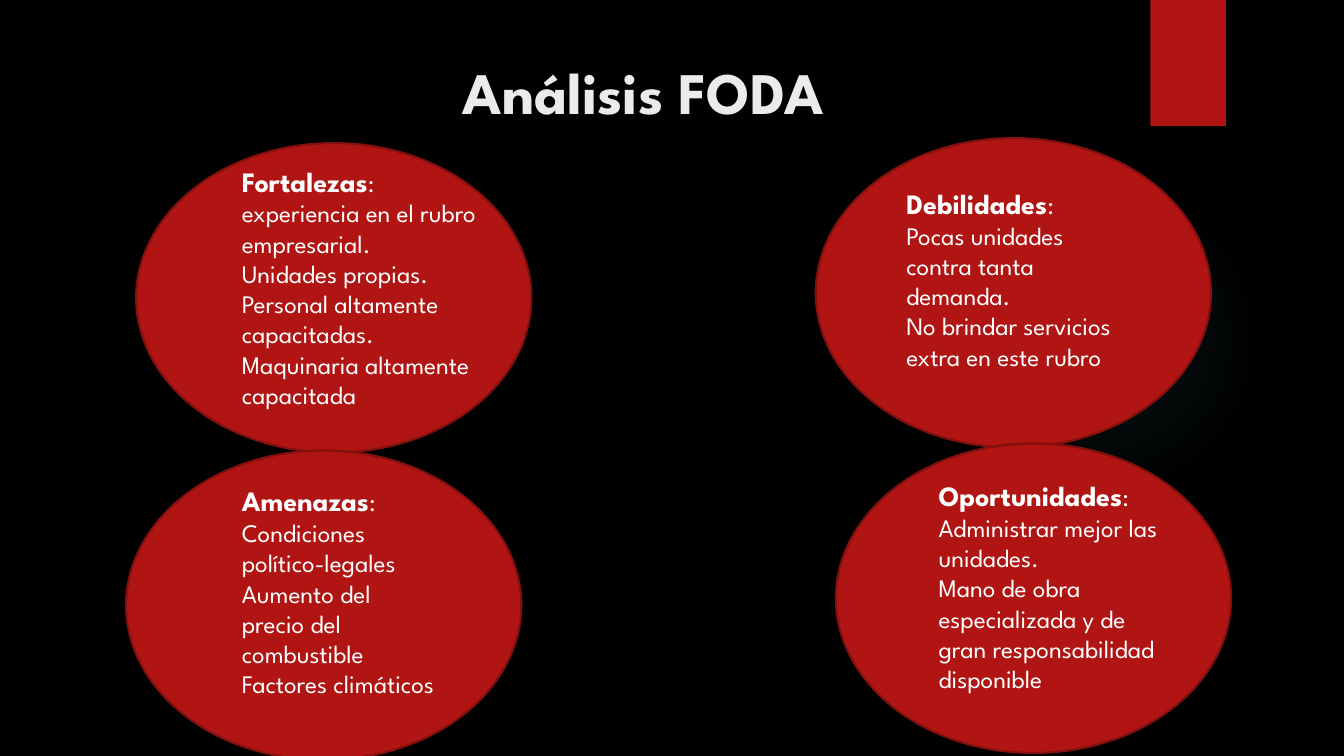
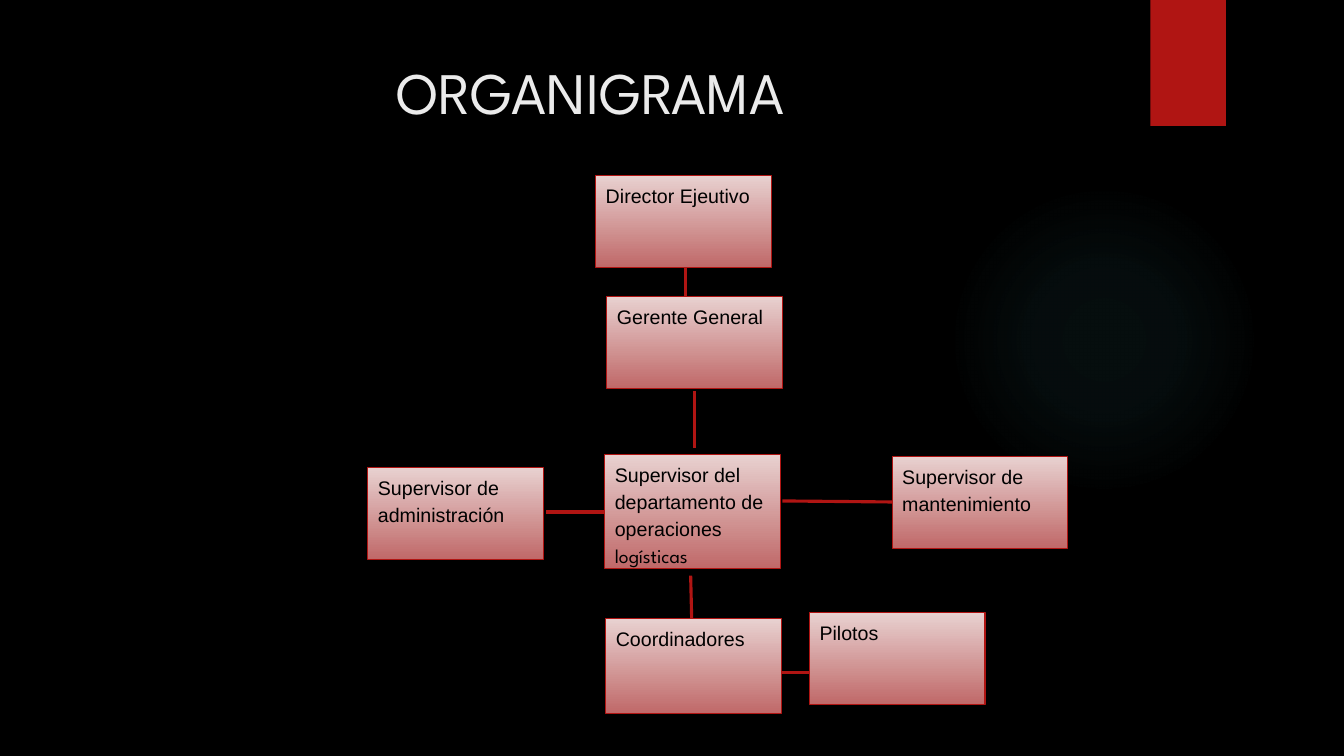
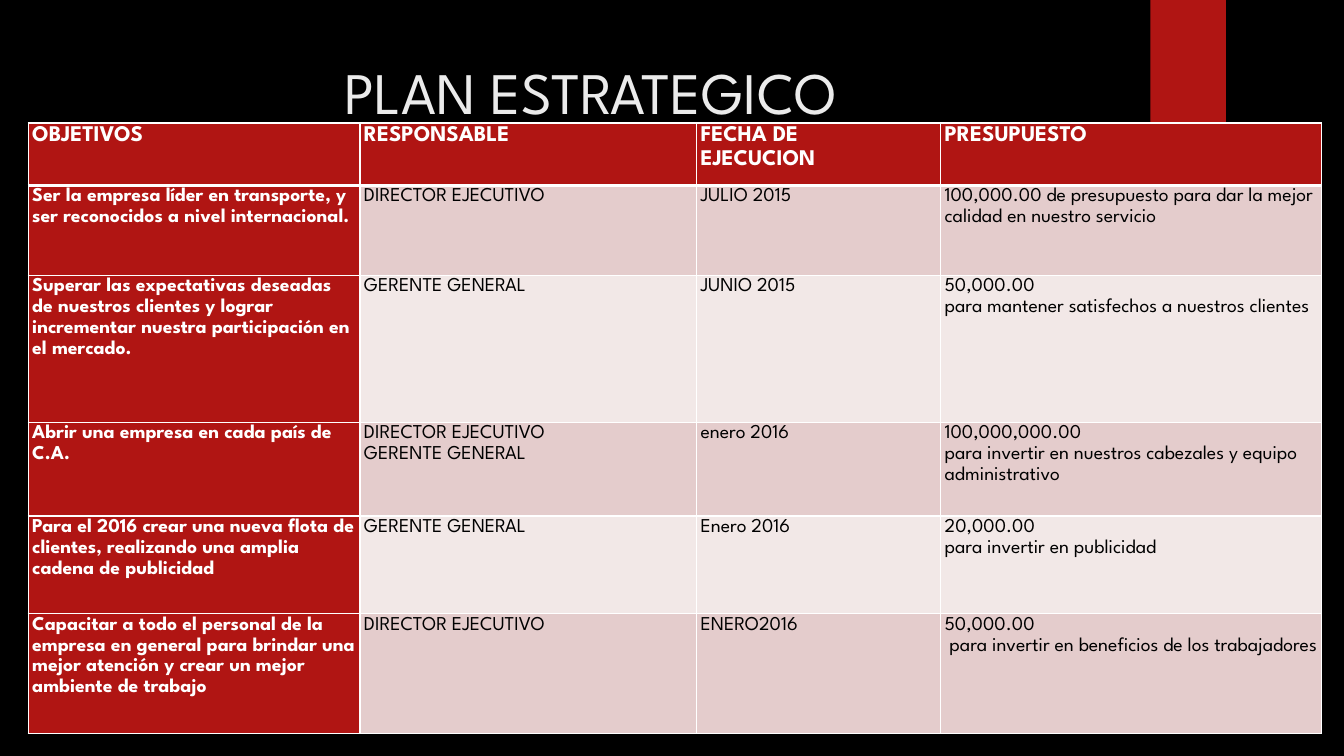
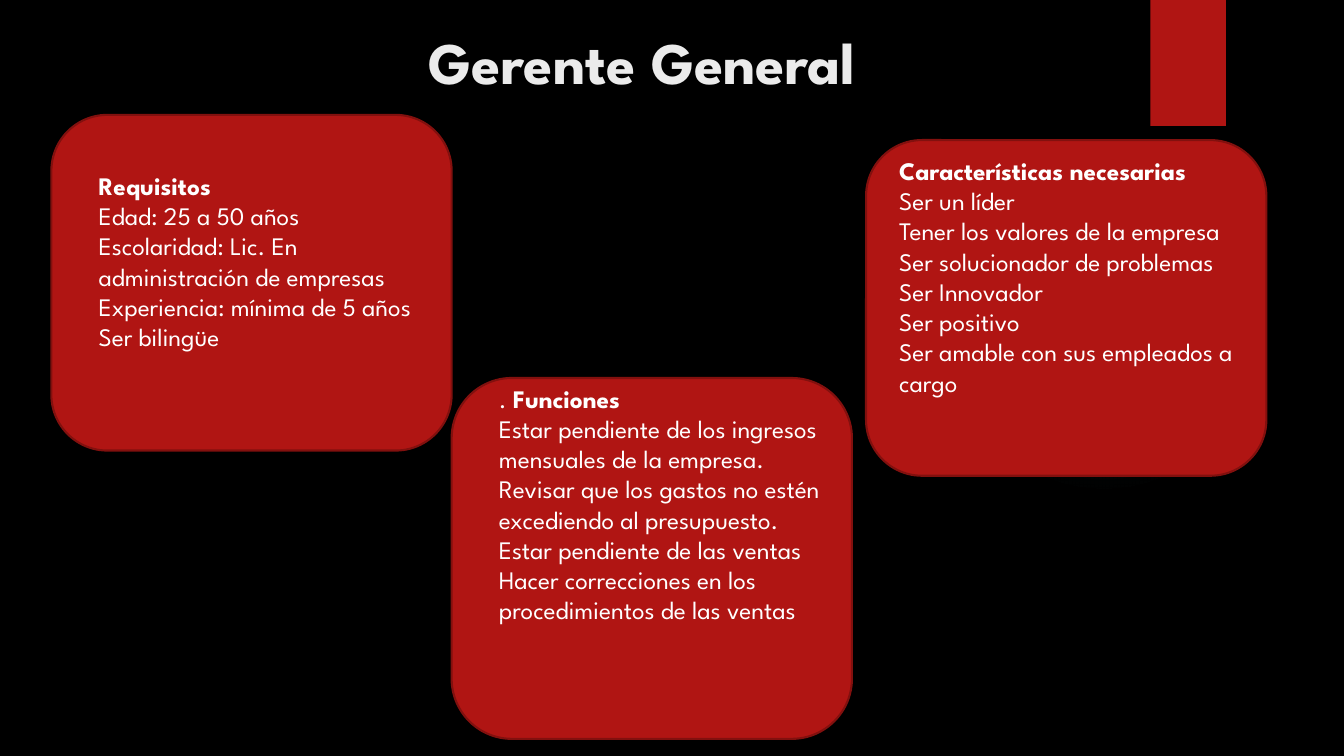
from dataclasses import dataclass

from lxml import etree
from pptx import Presentation
from pptx.dml.color import RGBColor
from pptx.enum.shapes import MSO_CONNECTOR, MSO_SHAPE
from pptx.enum.text import MSO_ANCHOR, PP_ALIGN
from pptx.oxml import parse_xml
from pptx.oxml.ns import nsdecls, qn
from pptx.util import Inches, Pt

OVAL, RECT, ROUNDED = MSO_SHAPE.OVAL, MSO_SHAPE.RECTANGLE, MSO_SHAPE.ROUNDED_RECTANGLE
STRAIGHT = MSO_CONNECTOR.STRAIGHT
TOP = MSO_ANCHOR.TOP
LEFT, CENTER = PP_ALIGN.LEFT, PP_ALIGN.CENTER


@dataclass(frozen=True)
class Theme:
    """Colours, fonts and type sizes shared by all slides."""

    background: str = "000000"
    red: str = "B01513"
    outline: str = "82100E"
    glow: str = "50B9C1"
    title: str = "EBEBEB"
    light: str = "FFFFFF"
    dark: str = "000000"
    node_top: str = "E8D1D0"
    node_bottom: str = "C06969"
    bands: tuple = ("E4CCCC", "F2E8E7")
    font: str = "League Spartan"
    node_font: str = "Arial"
    title_size: int = 42
    heading_size: int = 20
    body_size: int = 18
    header_size: int = 16
    small_size: int = 14
    small_spacing: float = 1.15


class Deck:
    """Presentation builder holding the theme and the current slide."""

    def __init__(self, theme):
        """Open a widescreen presentation with the theme background."""
        self.theme = theme
        self.presentation = Presentation()
        self.presentation.slide_width = Inches(13.33)
        self.presentation.slide_height = Inches(7.5)
        backdrop = self.presentation.slide_master.background.fill
        backdrop.solid()
        backdrop.fore_color.rgb = RGBColor.from_string(theme.background)
        self.slide = None

    def new_slide(self, title, box=(0.71, 0.5, 10.29, 1.53), bold=False, indent=0.1):
        """Start a slide with its glow, ribbon and title."""
        self.slide = self.presentation.slides.add_slide(self.presentation.slide_layouts[6])
        self.glow()
        self.shape(RECT, (11.41, 0, 0.75, 1.25))
        frame = self.text_box(box)
        frame.margin_left = Inches(indent)
        frame.text = title
        self.format(frame.paragraphs[0], self.theme.title_size, self.theme.title,
                    bold=bold, align=CENTER)

    def glow(self):
        """Draw the faint radial glow."""
        glow = self.shape(OVAL, (9.41, 1.83, 3.08, 3.08))
        stops = "".join(
            f'<a:gs pos="{position}000"><a:srgbClr val="{self.theme.glow}">'
            f'<a:alpha val="{alpha}000"/></a:srgbClr></a:gs>'
            for position, alpha in ((0, 7), (36, 6), (69, 0)))
        gradient = parse_xml(
            f'<a:gradFill {nsdecls("a")} rotWithShape="1"><a:gsLst>{stops}</a:gsLst>'
            '<a:path path="circle"><a:fillToRect l="50000" t="50000" r="50000" b="50000"/>'
            '</a:path></a:gradFill>')
        properties = glow.element.spPr
        properties.replace(properties.find(qn("a:solidFill")), gradient)

    def shape(self, kind, box, outline=None, width=1.5):
        """Add a red preset shape with an optional outline."""
        shape = self.slide.shapes.add_shape(kind, *map(Inches, box))
        shape.shadow.inherit = False
        shape.fill.solid()
        shape.fill.fore_color.rgb = RGBColor.from_string(self.theme.red)
        if outline:
            shape.line.color.rgb = RGBColor.from_string(outline)
            shape.line.width = Pt(width)
        else:
            shape.line.fill.background()
        return shape

    def text_box(self, box):
        """Add a wrapping text box and return its frame."""
        frame = self.slide.shapes.add_textbox(*map(Inches, box)).text_frame
        frame.word_wrap = True
        return frame

    def format(self, paragraph, size, color, bold=False, font=None, spacing=1.0, align=LEFT):
        """Style a paragraph and all its runs."""
        paragraph.alignment = align
        paragraph.line_spacing = spacing
        for run in paragraph.runs:
            run.font.name = font or self.theme.font
            run.font.size = Pt(size)
            run.font.bold = bold
            run.font.color.rgb = RGBColor.from_string(color)

    def panel(self, kind, box, text_box, heading, lines, heading_size, lead="", tail=""):
        """Add a red panel with a bold heading and plain lines."""
        self.shape(kind, box, self.theme.outline)
        frame = self.text_box(text_box)
        frame.text = "\n".join([lead or heading, *lines])
        first = frame.paragraphs[0]
        if lead:
            first.add_run().text = heading
        if tail:
            first.add_run().text = tail
        for paragraph in frame.paragraphs:
            self.format(paragraph, self.theme.body_size, self.theme.light)
        title = first.runs[1 if lead else 0]
        title.font.bold = True
        title.font.size = Pt(heading_size)

    def node(self, left, top, label, height=0.91, tail=""):
        """Add an organisation chart box."""
        node = self.shape(RECT, (left, top, 1.74, height), self.theme.red, 0.75)
        node.fill.gradient()
        node.fill.gradient_angle = 270
        for stop, color in zip(node.fill.gradient_stops,
                               (self.theme.node_top, self.theme.node_bottom)):
            stop.color.rgb = RGBColor.from_string(color)
        frame = node.text_frame
        frame.vertical_anchor = TOP
        frame.text = label
        paragraph = frame.paragraphs[0]
        if tail:
            paragraph.add_run().text = tail
        self.format(paragraph, self.theme.small_size, self.theme.dark,
                    font=self.theme.node_font, spacing=self.theme.small_spacing)
        if tail:
            paragraph.runs[1].font.name = self.theme.font

    def link(self, start, end):
        """Add a straight red connector."""
        link = self.slide.shapes.add_connector(STRAIGHT, *map(Inches, start + end))
        link.line.color.rgb = RGBColor.from_string(self.theme.red)
        link.line.width = Pt(2.25)
        etree.SubElement(link.element.spPr, qn("a:effectLst"))

    def table(self, left, top, widths, heights, rows):
        """Add a table with a red header row and first column."""
        table = self.slide.shapes.add_table(
            len(rows), len(widths), Inches(left), Inches(top),
            Inches(sum(widths)), Inches(sum(heights))).table
        table.horz_banding = False
        for column, width in zip(table.columns, widths):
            column.width = Inches(width)
        for index, (height, texts) in enumerate(zip(heights, rows)):
            table.rows[index].height = Inches(height)
            for position, text in enumerate(texts):
                self.cell(table.cell(index, position), text, index, position)

    def cell(self, cell, text, row, column):
        """Fill, border and style one table cell."""
        theme = self.theme
        strong = row == 0 or column == 0
        below, above = (3 if row == 0 else 1), (3 if row == 1 else 1)
        for side, width in (("L", 1), ("R", 1), ("T", above), ("B", below)):
            cell._tc.get_or_add_tcPr().append(parse_xml(
                f'<a:ln{side} {nsdecls("a")} w="{Pt(width)}"><a:solidFill>'
                f'<a:srgbClr val="{theme.light}"/></a:solidFill></a:ln{side}>'))
        cell.fill.solid()
        cell.fill.fore_color.rgb = RGBColor.from_string(
            theme.red if strong else theme.bands[(row - 1) % 2])
        cell.margin_left = cell.margin_right = Inches(0.04)
        cell.margin_top = cell.margin_bottom = 0
        cell.text_frame.text = text
        for paragraph in cell.text_frame.paragraphs:
            self.format(paragraph, theme.small_size if row else theme.header_size,
                        theme.light if strong else theme.dark, bold=strong,
                        spacing=theme.small_spacing)


def foda(deck):
    """Build the strengths and weaknesses slide."""
    deck.new_slide("Análisis FODA", (0.71, 0.5, 10.29, 0.93), bold=True, indent=1.15)
    quadrants = (
        ((1.35, 1.42), (2.3, 1.58, 2.77, 2.86), "Fortalezas",
         ("experiencia en el rubro empresarial.", "Unidades propias.",
          "Personal altamente capacitadas.", "Maquinaria altamente capacitada")),
        ((8.09, 1.37), (8.89, 1.8, 2.38, 2.26), "Debilidades",
         ("Pocas unidades contra tanta demanda.",
          "No brindar servicios extra en este rubro")),
        ((1.25, 4.47), (2.3, 4.75, 2.11, 2.56), "Amenazas",
         ("Condiciones político-legales", "Aumento del precio del combustible",
          "Factores climáticos")),
        ((8.29, 4.4), (9.21, 4.7, 2.41, 2.56), "Oportunidades",
         ("Administrar mejor las unidades.",
          "Mano de obra especializada y de gran responsabilidad disponible")),
    )
    for corner, text_box, heading, lines in quadrants:
        deck.panel(OVAL, corner + (3.92, 3.07), text_box, heading, lines,
                   deck.theme.heading_size, tail=":")


def organigrama(deck):
    """Build the organisation chart slide."""
    deck.new_slide("ORGANIGRAMA")
    deck.node(5.91, 1.74, "Director Ejeutivo")
    deck.node(6.02, 2.94, "Gerente General")
    deck.node(6, 4.51, "Supervisor del departamento de operaciones ", 1.13, "logísticas")
    deck.node(3.65, 4.64, "Supervisor de administración")
    deck.node(8.85, 4.53, "Supervisor de mantenimiento")
    deck.node(6.01, 6.14, "Coordinadores", 0.94)
    deck.node(8.03, 6.08, "Pilotos")
    for start, end in (
        ((6.8, 2.65), (6.8, 2.94)),
        ((6.89, 3.88), (6.89, 4.44)),
        ((5.42, 5.08), (6, 5.08)),
        ((7.76, 4.97), (8.85, 4.98)),
        ((6.85, 5.71), (6.86, 6.13)),
        ((7.75, 6.67), (8.03, 6.67)),
    ):
        deck.link(start, end)


def plan_estrategico(deck):
    """Build the strategic plan slide."""
    deck.new_slide("PLAN ESTRATEGICO")
    deck.table(0.28, 1.22, (3.29, 3.34, 2.42, 3.78), (0.62, 0.89, 1.46, 0.93, 0.97, 1.19), (
        ("OBJETIVOS", "RESPONSABLE", "FECHA DE\nEJECUCION", "PRESUPUESTO"),
        ("Ser la empresa líder en transporte, y ser reconocidos a nivel internacional.",
         "DIRECTOR EJECUTIVO", "JULIO 2015",
         "100,000.00 de presupuesto para dar la mejor calidad en nuestro servicio"),
        ("Superar las expectativas deseadas de nuestros clientes y lograr incrementar "
         "nuestra participación en el mercado.",
         "GERENTE GENERAL", "JUNIO 2015",
         "50,000.00\npara mantener satisfechos a nuestros clientes"),
        ("Abrir una empresa en cada país de C.A.",
         "DIRECTOR EJECUTIVO\nGERENTE GENERAL", "enero 2016",
         "100,000,000.00\npara invertir en nuestros cabezales y equipo administrativo"),
        ("Para el 2016 crear una nueva flota de clientes, realizando una amplia "
         "cadena de publicidad",
         "GERENTE GENERAL", "Enero 2016", "20,000.00\npara invertir en publicidad"),
        ("Capacitar a todo el personal de la empresa en general para brindar una mejor "
         "atención y crear un mejor ambiente de trabajo",
         "DIRECTOR EJECUTIVO", "ENERO2016",
         "50,000.00\n para invertir en beneficios de los trabajadores"),
    ))


def gerente_general(deck):
    """Build the general manager profile slide."""
    deck.new_slide("Gerente General", (2, 0.21, 8.74, 0.79), bold=True)
    size = deck.theme.body_size
    deck.panel(ROUNDED, (0.51, 1.14, 3.97, 3.33), (0.88, 1.64, 3.6, 2.83), "Requisitos",
               ("Edad: 25 a 50 años", "Escolaridad: Lic. En administración de empresas",
                "Experiencia: mínima de 5 años", "Ser bilingüe"), size)
    deck.panel(ROUNDED, (4.48, 3.75, 3.97, 3.58), (4.85, 3.75, 3.47, 4.04), "Funciones",
               ("Estar pendiente de los ingresos mensuales de la empresa.",
                "Revisar que los gastos no estén excediendo al presupuesto.",
                "Estar pendiente de las ventas",
                "Hacer correcciones en los procedimientos de las ventas"), size, lead=". ")
    deck.panel(ROUNDED, (8.59, 1.39, 3.97, 3.33), (8.82, 1.49, 3.6, 3.13),
               "Características necesarias",
               ("Ser un líder", "Tener los valores de la empresa",
                "Ser solucionador de problemas", "Ser Innovador", "Ser positivo",
                "Ser amable con sus empleados a cargo"), size)


def main():
    """Build and save the presentation."""
    deck = Deck(Theme())
    for build in (foda, organigrama, plan_estrategico, gerente_general):
        build(deck)
    deck.presentation.save("out.pptx")


main()
